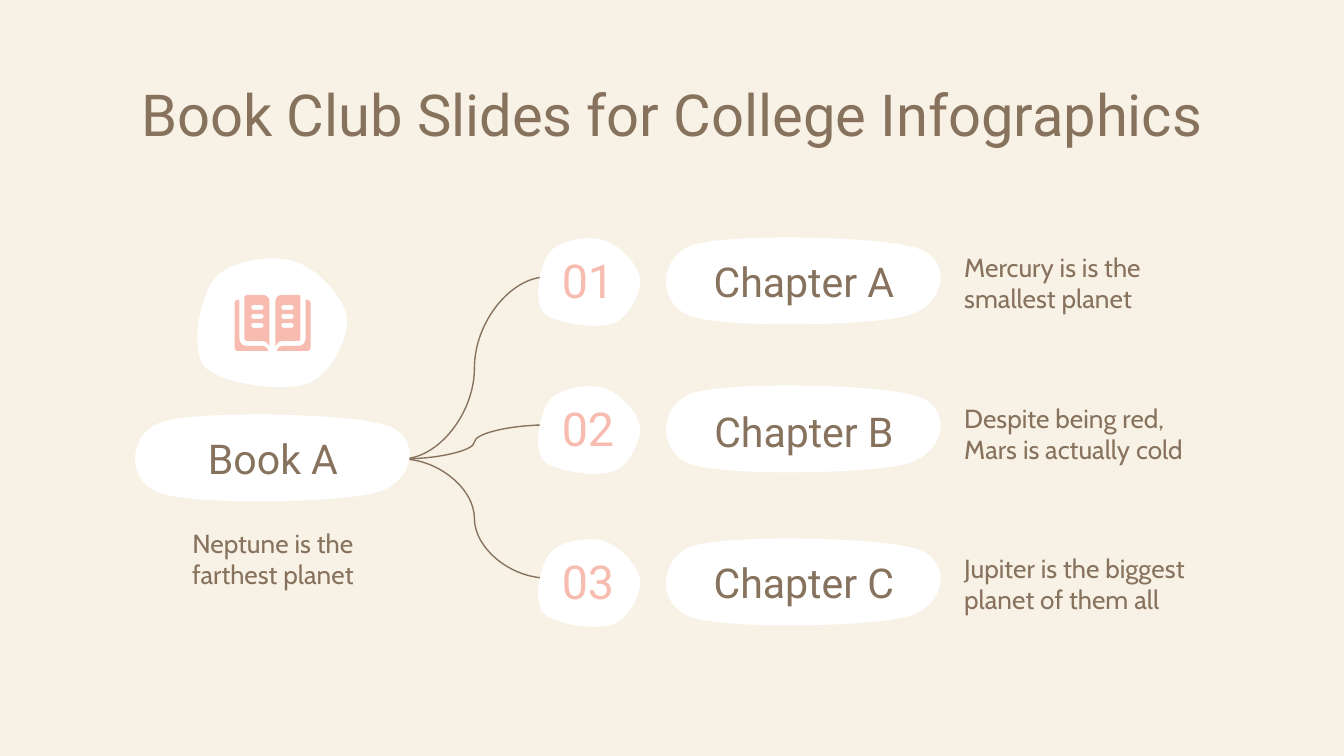
"""Build a book infographic slide whose main book branches into three chapters."""
from dataclasses import dataclass

from lxml import etree
from pptx import Presentation
from pptx import util as u
from pptx.dml.color import RGBColor
from pptx.enum import shapes, text
from pptx.oxml import ns

SCALE = 914400 / 134.4


@dataclass(frozen=True)
class Theme:
    cream: str = "F8F1E5"
    brown: str = "87725D"
    pink: str = "F7BCAF"
    white: str = "FFFFFF"
    heading: str = "Roboto"
    body: str = "Cabin"
    title_size: int = 31
    number_size: int = 25
    label_size: int = 22
    body_size: int = 14


THEME = Theme()
TITLE = "Book Club Slides for College Infographics"
BOOK = ("Book A", "Neptune is the farthest planet")
CHAPTERS = [
    ("01", "Chapter A", "Mercury is is the smallest planet", 238),
    ("02", "Chapter B", "Despite being red, Mars is actually cold", 386),
    ("03", "Chapter C", "Jupiter is the biggest planet of them all", 539),
]
LABEL_TOP, NOTE_TOP, CHAPTER_STEP = 243, 238, 150.5
BRANCH_START = (402, 459)
PILL_CENTER = (137, 43)

# Each outline starts at a point; pairs are lines and sextuples are cubic curves.
PILL = [
    (25, 79),
    (60, 91, 204, 89, 242, 78),
    (279, 67, 287, 23, 251, 11),
    (216, -1, 68, -4, 29, 7),
    (-8, 17, -11, 67, 25, 79),
]
BLOB = [
    (18, 20),
    (3, 38, -7, 90, 7, 108),
    (22, 126, 85, 134, 109, 126),
    (132, 120, 152, 81, 150, 61),
    (148, 39, 119, 9, 96, 3),
    (74, -4, 33, 3, 18, 20),
]
COVER = [
    (-35, 5), (-36, 5, -38, 6, -38, 8), (-38, 53),
    (-38, 55, -36, 56, -35, 56), (-4, 56), (-4, 56, -5, 55, -5, 54),
    (-6, 52, -8, 51, -10, 51), (-26, 51),
    (-30, 51, -33, 48, -33, 44), (-33, 5),
]
LEAF = [
    (-26, 0), (-27, 0, -28, 1, -28, 2), (-28, 44),
    (-28, 45, -27, 46, -26, 46), (-11, 46),
    (-7, 46, -4, 48, -3, 51), (-3, 6),
    (-3, 3, -6, 0, -9, 0),
]
SLOTS = [
    [(-11, y), (-8, y, -8, y + 5, -11, y + 5), (-19, y + 5),
     (-22, y + 5, -22, y, -19, y)]
    for y in (10, 19, 28)
]


def px(value):
    return u.Emu(round(value * SCALE))


def color(value):
    return RGBColor.from_string(value)


def pairs(part):
    return list(zip(part[::2], part[1::2]))


def flatten(outline, steps=12):
    points = [outline[0]]
    for part in outline[1:]:
        if len(part) == 2:
            points.append(part)
            continue
        curve = list(zip(points[-1], *pairs(part)))
        for t in (step / steps for step in range(1, steps + 1)):
            s = 1 - t
            points.append(tuple(
                s**3 * a + 3 * s * s * t * b + 3 * s * t * t * c + t**3 * d
                for a, b, c, d in curve
            ))
    return points


def write_curves(shape, contours, place):
    route = shape._element.spPr.find(".//" + ns.qn("a:path"))
    for child in list(route):
        route.remove(child)
    for contour in contours:
        for index, part in enumerate(contour):
            kind = "moveTo" if index == 0 else "lnTo" if len(part) == 2 else "cubicBezTo"
            command = etree.SubElement(route, ns.qn("a:" + kind))
            for point in pairs(part):
                x, y = place(point)
                etree.SubElement(command, ns.qn("a:pt"),
                                 x=str(x - shape.left), y=str(y - shape.top))
        etree.SubElement(route, ns.qn("a:close"))


def add_outline(holder, contours, fill, place):
    builder = None
    for contour in contours:
        points = [place(point) for point in flatten(contour)]
        if builder is None:
            builder = holder.shapes.build_freeform(*points[0])
        else:
            builder.move_to(*points[0])
        builder.add_line_segments(points[1:], close=True)
    shape = builder.convert_to_shape()
    write_curves(shape, contours, place)
    shape.shadow.inherit = False
    shape.fill.solid()
    shape.fill.fore_color.rgb = color(fill)
    shape.line.fill.background()
    return shape


def placer(left, top, wide=1, high=1):
    return lambda point: (px(left + point[0] * wide), px(top + point[1] * high))


def add_pill(page, left, top):
    middle, center = PILL_CENTER

    def upright(point):
        return (px(left + middle - (point[1] - center)),
                px(top + center + point[0] - middle))

    add_outline(page, [PILL], THEME.white, upright).rotation = 270


def add_text(page, area, words, size, font=THEME.heading, ink=THEME.brown,
             align=text.PP_ALIGN.CENTER):
    box = page.shapes.add_textbox(*map(px, area))
    frame = box.text_frame
    frame.word_wrap = True
    frame.margin_left = frame.margin_right = u.Inches(0.1)
    frame.margin_top = frame.margin_bottom = u.Inches(0.1)
    frame.text = words
    para = frame.paragraphs[0]
    para.alignment = align
    span = para.runs[0]
    span.font.name, span.font.size = font, u.Pt(size)
    span.font.color.rgb = color(ink)


def add_branch(page, end):
    branch = page.shapes.add_connector(
        shapes.MSO_CONNECTOR.CURVE, *map(px, BRANCH_START + end))
    branch.line.color.rgb = color(THEME.brown)
    branch.line.width = u.Pt(0.75)
    etree.SubElement(branch._element.spPr, ns.qn("a:effectLst"))


def add_book(page):
    label, note = BOOK
    add_pill(page, 136, 415)
    add_text(page, (144, 420, 258, 78), label, THEME.label_size)
    add_text(page, (144, 514, 258, 86), note, THEME.body_size, THEME.body)


def add_icon(page):
    icon = page.shapes.add_group_shape()
    for contours in ([COVER], [LEAF, *SLOTS]):
        for side in (1, -1):
            add_outline(icon, contours, THEME.pink, placer(272.5, 295, side))


def add_chapter(page, index, number, label, note, top):
    shift = index * CHAPTER_STEP
    add_pill(page, 667, top)
    add_text(page, (675, LABEL_TOP + shift, 258, 78), label, THEME.label_size)
    add_text(page, (951, NOTE_TOP + shift, 258, 86), note, THEME.body_size,
             THEME.body, align=text.PP_ALIGN.LEFT)
    add_outline(page, [BLOB], THEME.white, placer(538, top, 0.68, 0.68))
    add_text(page, (547, top, 82, 78), number, THEME.number_size, ink=THEME.pink)


def main():
    deck = Presentation()
    deck.slide_width, deck.slide_height = px(1344), px(756)
    page = deck.slides.add_slide(deck.slide_layouts[6])
    page.background.fill.solid()
    page.background.fill.fore_color.rgb = color(THEME.cream)
    for *_, top in CHAPTERS:
        add_branch(page, (547, top + 39))
    add_text(page, (105, 65, 1133, 85), TITLE, THEME.title_size)
    add_book(page)
    add_outline(page, [BLOB], THEME.white, placer(197, 258))
    for index, chapter in enumerate(CHAPTERS):
        add_chapter(page, index, *chapter)
    add_icon(page)
    deck.save("out.pptx")


if __name__ == "__main__":
    main()
